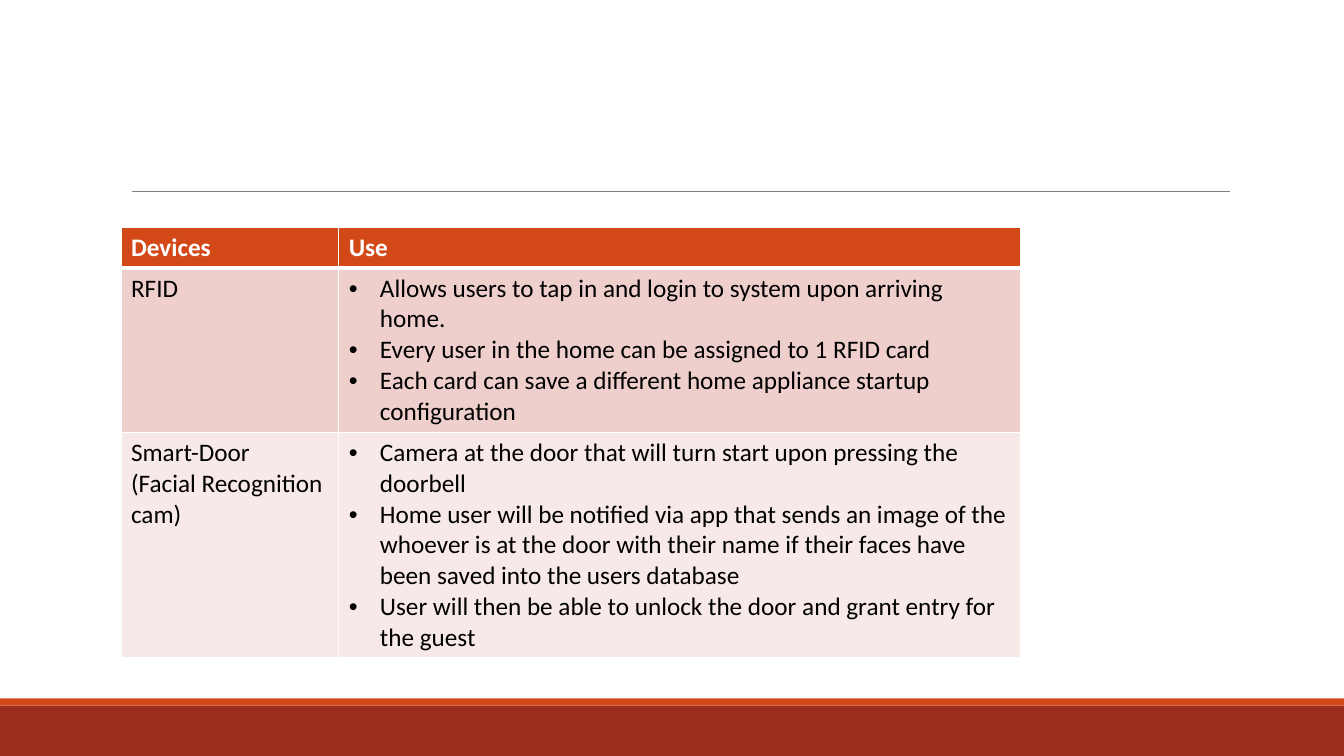
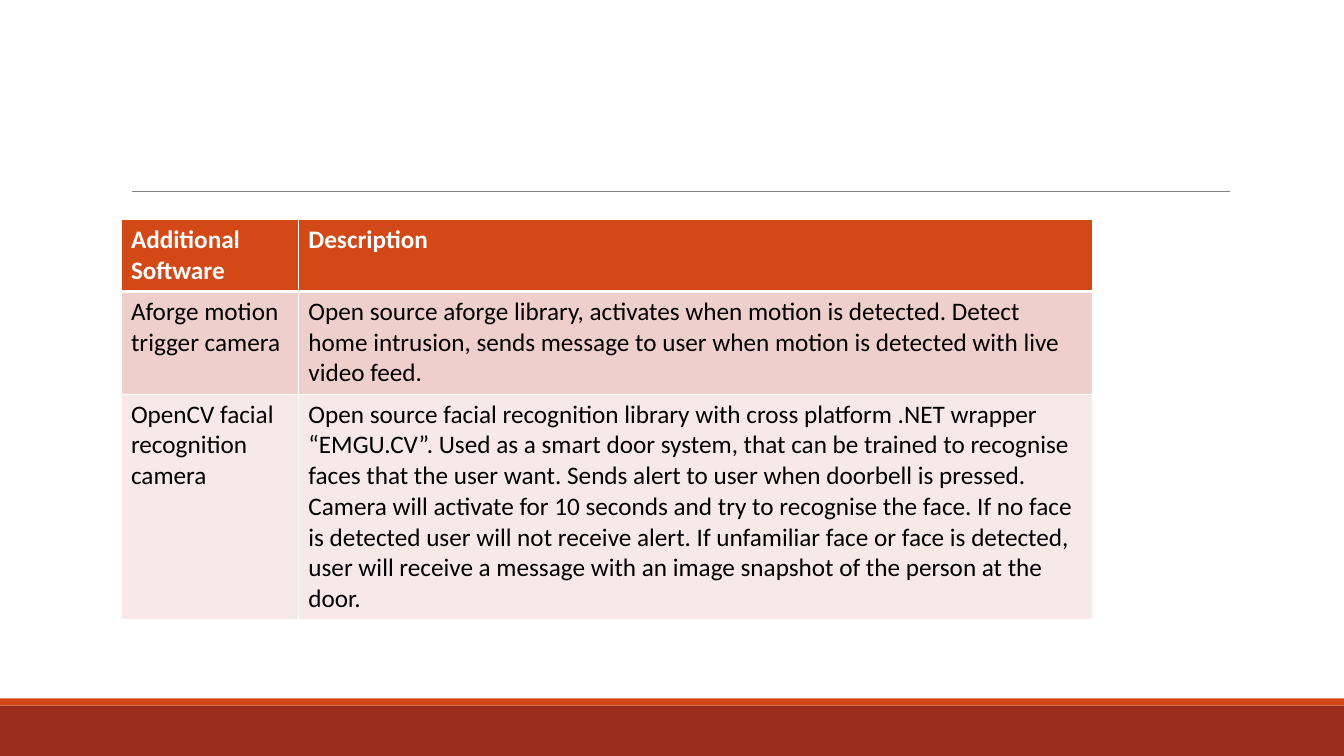
from dataclasses import dataclass

from lxml import etree
from pptx import Presentation
from pptx import util as u
from pptx.dml.color import RGBColor
from pptx.enum import shapes
from pptx.oxml import ns


@dataclass(frozen=True)
class Theme:
    """Colours, font and type size shared by the slides."""
    font: str = "Calibri"
    table_size: float = 18
    white: str = "FFFFFF"
    ink: str = "000000"
    accent: str = "D34817"
    footer: str = "9B2D1F"
    rule: str = "808080"
    bands: tuple = ("EFCFCC", "F7E9E8")


@dataclass(frozen=True)
class Box:
    """A region measured in grid columns and rows."""
    left: float
    top: float
    width: float
    height: float

    def place(self):
        """Return left, top, width and height as lengths."""
        return [grid(v) for v in (self.left, self.top, self.width, self.height)]


THEME = Theme()
COLUMNS, ROWS = 133.33, 75
PAGE = Box(0, 0, COLUMNS, ROWS)
HEADER = Box(13.05, 0, 108.95, 19)


def grid(count):
    """Turn a count of grid steps, ten to the inch, into a length."""
    return u.Inches(count / 10)


def color(code):
    """Turn a hex code into a colour."""
    return RGBColor.from_string(code)


def write(para, words, *, size, ink, bold=False):
    """Add one formatted span of text to a paragraph."""
    span = para.add_run()
    span.text = words
    span.font.name = THEME.font
    span.font.size = u.Pt(size)
    span.font.bold = bold
    span.font.color.rgb = color(ink)


def add_bullet(para, indent=3.1):
    """Give a paragraph a round bullet and a hanging indent."""
    props = para._p.get_or_add_pPr()
    props.set("marL", str(grid(indent)))
    props.set("indent", str(-grid(indent)))
    etree.SubElement(props, ns.qn("a:buFont")).set("typeface", "Arial")
    etree.SubElement(props, ns.qn("a:buChar")).set("char", "•")


def add_borders(cell, **widths):
    """Draw white cell borders with the given point widths."""
    props = cell._tc.get_or_add_tcPr()
    for position, side in enumerate("LRTB"):
        line = etree.Element(ns.qn(f"a:ln{side}"), w=str(u.Pt(widths.get(side, 1))))
        fill = etree.SubElement(line, ns.qn("a:solidFill"))
        etree.SubElement(fill, ns.qn("a:srgbClr")).set("val", THEME.white)
        props.insert(position, line)


def add_band(page, box, fill):
    """Draw a plain filled band."""
    band = page.shapes.add_shape(shapes.MSO_SHAPE.RECTANGLE, *box.place())
    band.shadow.inherit = False
    band.fill.solid()
    band.fill.fore_color.rgb = color(fill)
    band.line.fill.background()


def add_footer(page, box, height=5, stripe=0.7):
    """Place the footer band and its stripe at the foot of a box."""
    top = box.top + box.height - height
    add_band(page, Box(box.left, top, box.width, height), THEME.footer)
    add_band(page, Box(box.left, top - stripe, box.width, stripe), THEME.accent)


def add_rule(page, box):
    """Draw a thin rule along the lower edge of a box."""
    level = grid(box.top + box.height)
    rule = page.shapes.add_connector(
        shapes.MSO_CONNECTOR.STRAIGHT,
        grid(box.left), level, grid(box.left + box.width), level)
    rule.line.color.rgb = color(THEME.rule)
    rule.line.width = u.Pt(0.5)
    etree.SubElement(rule._element.spPr, ns.qn("a:effectLst"))


def fill_cell(cell, lines, row, bulleted):
    """Write and colour one table cell by its row."""
    header = row == 0
    cell.fill.solid()
    cell.fill.fore_color.rgb = color(
        THEME.accent if header else THEME.bands[(row - 1) % 2])
    add_borders(cell, T=3 if row == 1 else 1, B=3 if header else 1)
    frame = cell.text_frame
    for index, words in enumerate(lines):
        para = frame.add_paragraph() if index else frame.paragraphs[0]
        if bulleted:
            add_bullet(para)
        write(para, words, size=THEME.table_size, bold=header,
              ink=THEME.white if header else THEME.ink)


def add_banded_table(page, box, content, first_column, heights, bulleted):
    """Place a two-column table with a header and tinted rows."""
    table = page.shapes.add_table(len(content), 2, *box.place()).table
    for column, width in zip(table.columns, (first_column, box.width - first_column)):
        column.width = grid(width)
    for row, (cells, height) in enumerate(zip(content, heights)):
        table.rows[row].height = grid(height)
        for column, lines in enumerate(cells):
            fill_cell(table.cell(row, column), lines, row,
                      bulleted and row > 0 and column == 1)


def build_table_slide(deck, left, top, width, content, first_column,
                      heights, bulleted=False):
    """Build one slide with a rule, a table and the footer."""
    page = deck.slides.add_slide(deck.slide_layouts[6])
    add_footer(page, PAGE)
    add_rule(page, HEADER)
    box = Box(left, top, width, sum(heights))
    add_banded_table(page, box, content, first_column, heights, bulleted)


SENSORS = [
    (["Devices"], ["Use"]),
    (["RFID"], [
        "Allows users to tap in and login to system upon arriving home.",
        "Every user in the home can be assigned to 1 RFID card",
        "Each card can save a different home appliance startup configuration",
    ]),
    (["Smart-Door", "(Facial Recognition cam)"], [
        "Camera at the door that will turn start upon pressing the doorbell",
        "Home user will be notified via app that sends an image of the whoever "
        "is at the door with their name if their faces have been saved into "
        "the users database",
        "User will then be able to unlock the door and grant entry for the guest",
    ]),
]

SOFTWARE = [
    (["Additional Software"], ["Description"]),
    (["Aforge motion trigger camera"], [
        "Open source aforge library, activates when motion is detected. Detect "
        "home intrusion, sends message to user when motion is detected with "
        "live video feed.",
    ]),
    (["OpenCV facial recognition camera"], [
        "Open source facial recognition library with cross platform .NET "
        "wrapper “EMGU.CV”. Used as a smart door system, that can be trained "
        "to recognise faces that the user want. Sends alert to user when "
        "doorbell is pressed. Camera will activate for 10 seconds and try to "
        "recognise the face. If no face is detected user will not receive "
        "alert. If unfamiliar face or face is detected, user will receive a "
        "message with an image snapshot of the person at the door.",
    ]),
]


def main():
    """Build and save the deck."""
    deck = Presentation()
    deck.slide_width, deck.slide_height = grid(COLUMNS), grid(ROWS)
    build_table_slide(deck, 12, 22.55, 89.3, SENSORS,
                      first_column=21.6, heights=(4, 16.3, 22.3), bulleted=True)
    build_table_slide(deck, 12, 21.8, 96.35, SOFTWARE,
                      first_column=17.6, heights=(6.9, 10.2, 22.3))
    deck.save("out.pptx")


if __name__ == "__main__":
    main()
